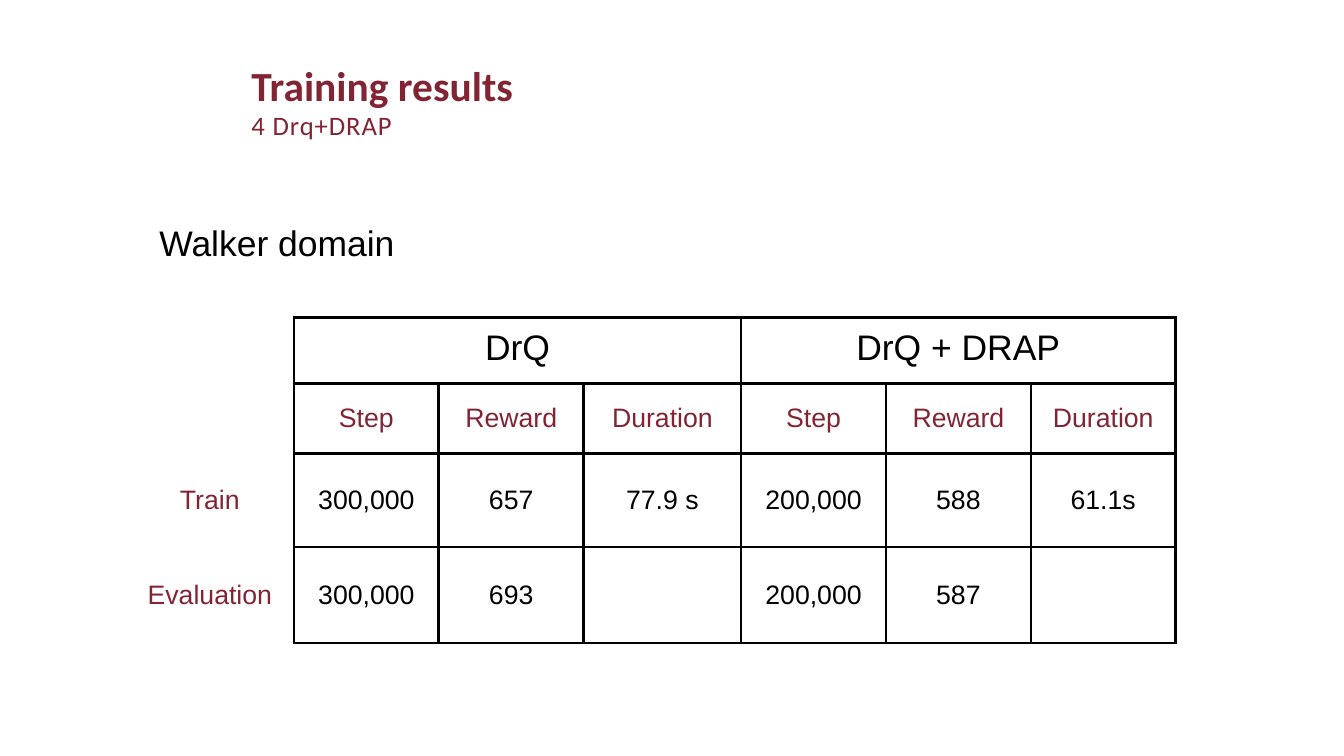
from dataclasses import dataclass

from lxml import etree
from pptx import Presentation
from pptx.dml.color import RGBColor
from pptx.enum.text import MSO_ANCHOR, MSO_AUTO_SIZE, PP_ALIGN
from pptx.oxml.ns import qn
from pptx.util import Inches, Pt

CENTER, JUSTIFY, LEFT = PP_ALIGN.CENTER, PP_ALIGN.JUSTIFY, PP_ALIGN.LEFT
TOP, MIDDLE = MSO_ANCHOR.TOP, MSO_ANCHOR.MIDDLE
NO_FIT = MSO_AUTO_SIZE.NONE


@dataclass(frozen=True)
class Theme:
    wine: str = "822434"
    ink: str = "000000"
    head: str = "Calibri"
    body: str = "Arial"
    title: float = 14
    large: float = 12
    small: float = 9
    rule: float = 1


THEME = Theme()
TITLE = "Training results"
SUBTITLE = "4 Drq+DRAP"
DOMAIN = "Walker domain"
METHODS = ["DrQ", "DrQ + DRAP"]
METRICS = ["Step", "Reward", "Duration"]
RESULTS = {
    "Train": ["300,000", "657", "77.9 s", "200,000", "588", "61.1s"],
    "Evaluation": ["300,000", "693", "", "200,000", "587", ""],
}
COLS = [0.79, 0.68, 0.68, 0.74, 0.68, 0.68, 0.68]
ROWS = [0.31, 0.33, 0.44, 0.45]


def add_run(para, text, size, color, font=THEME.body, bold=False):
    run = para.add_run()
    run.text = text
    run.font.name = font
    run.font.size = Pt(size)
    run.font.bold = bold
    run.font.color.rgb = RGBColor.from_string(color)
    return run


def set_edges(cell, drawn):
    """Rule the sides named in drawn and clear the other sides."""
    props = cell._tc.get_or_add_tcPr()
    for place, side in enumerate("LRTB"):
        line = etree.Element(qn(f"a:ln{side}"), w=str(Pt(THEME.rule)))
        if side in drawn:
            fill = etree.SubElement(line, qn("a:solidFill"))
            etree.SubElement(fill, qn("a:srgbClr"), val=THEME.ink)
        else:
            etree.SubElement(line, qn("a:noFill"))
        props.insert(place, line)


def fill_cell(cell, text, size, color, anchor, drawn):
    cell.fill.background()
    cell.margin_left = cell.margin_right = Inches(0.04)
    cell.margin_top = cell.margin_bottom = Inches(0.05 if text else 0)
    cell.vertical_anchor = anchor
    set_edges(cell, drawn)
    if text:
        para = cell.text_frame.paragraphs[0]
        para.alignment = CENTER
        add_run(para, text, size, color)


def add_title(slide):
    shape = slide.shapes.title
    shape.left, shape.top = Inches(1.17), Inches(0.27)
    shape.width, shape.height = Inches(2.08), Inches(0.38)
    frame = shape.text_frame
    frame.auto_size = NO_FIT
    frame.vertical_anchor = TOP
    frame.margin_left = frame.margin_right = frame.margin_bottom = 0
    frame.margin_top = Inches(0.02)
    first, second = frame.paragraphs[0], frame.add_paragraph()
    first.space_before, second.space_before = Pt(1.4), Pt(0)
    first.alignment, second.alignment = JUSTIFY, LEFT
    first.line_spacing, second.line_spacing = Pt(16.4), Pt(10.4)
    for para in (first, second):
        para._p.get_or_add_pPr().set("marL", str(Inches(0.01)))
    add_run(first, TITLE, THEME.title, THEME.wine, THEME.head, True)
    run = add_run(second, SUBTITLE, THEME.small, THEME.wine, THEME.head)
    run._r.get_or_add_rPr().set("spc", "30")


def add_results(slide):
    frame = slide.shapes.add_table(
        len(ROWS), len(COLS), Inches(0.59), Inches(1.49),
        Inches(sum(COLS)), Inches(sum(ROWS)))
    table = frame.table
    table.first_row = table.horz_banding = False
    for col, width in zip(table.columns, COLS):
        col.width = Inches(width)
    for row, height in zip(table.rows, ROWS):
        row.height = Inches(height)

    span = len(METRICS)
    heads = [""]
    for name in METHODS:
        heads += [name] + [""] * (span - 1)
    grid = [heads, [""] + METRICS * len(METHODS)]
    grid += [[name] + vals for name, vals in RESULTS.items()]
    for r, texts in enumerate(grid):
        for c, text in enumerate(texts):
            size = THEME.small if r else THEME.large
            color = THEME.wine if r == 1 or c == 0 else THEME.ink
            anchor = MIDDLE if r else TOP
            drawn = "LRTB" if c else "R"
            fill_cell(table.cell(r, c), text, size, color, anchor, drawn)
    for start in range(1, len(COLS), span):
        table.cell(0, start).merge(table.cell(0, start + span - 1))


def add_domain(slide):
    box = slide.shapes.add_textbox(
        Inches(0.65), Inches(0.99), Inches(1.42), Inches(0.3))
    box.text_frame.word_wrap = True
    add_run(box.text_frame.paragraphs[0], DOMAIN, THEME.large, THEME.ink)


def main():
    deck = Presentation()
    deck.slide_width, deck.slide_height = Inches(6.31), Inches(3.55)
    slide = deck.slides.add_slide(deck.slide_layouts[5])
    add_title(slide)
    add_results(slide)
    add_domain(slide)
    deck.save("out.pptx")


if __name__ == "__main__":
    main()
